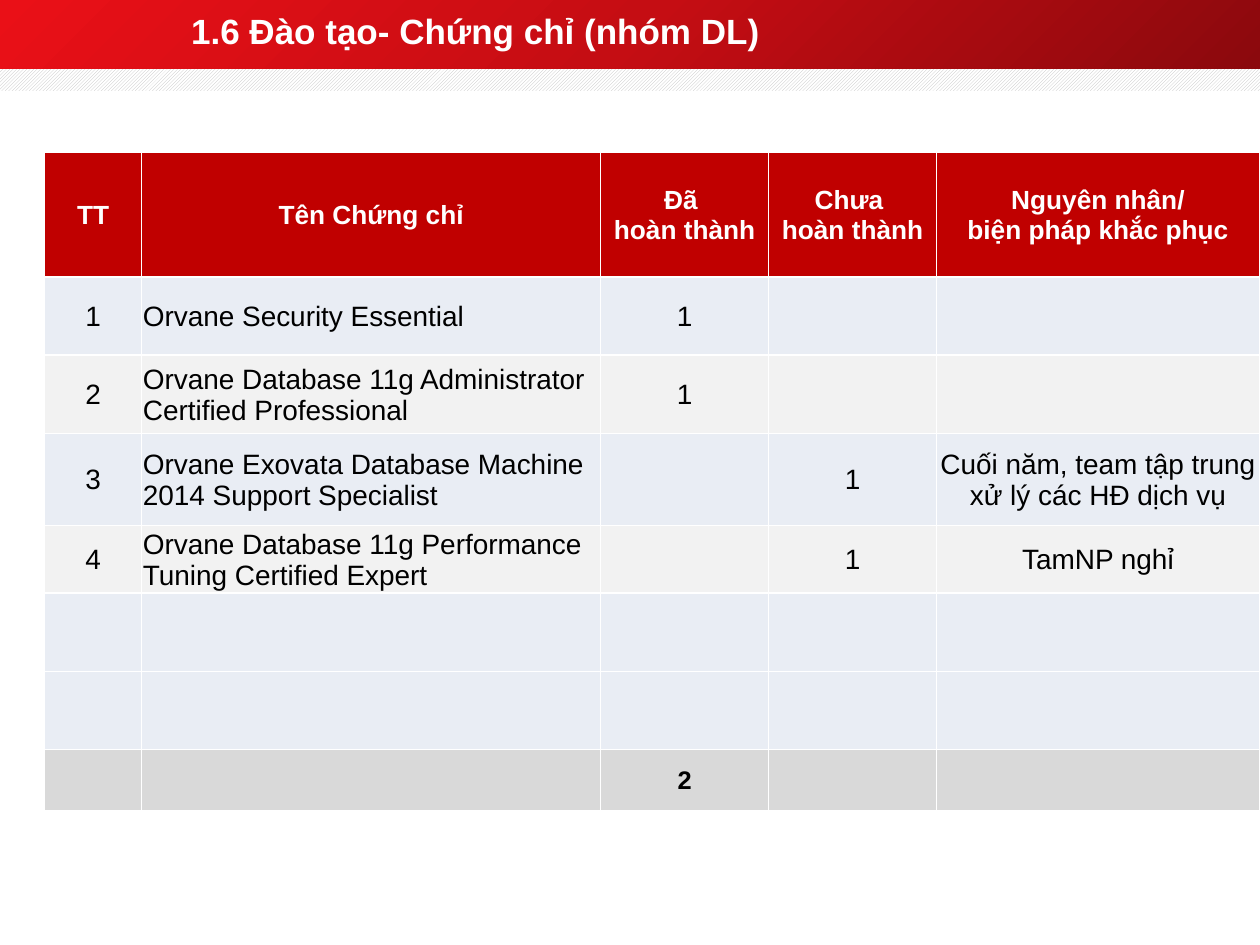
from copy import deepcopy
from dataclasses import dataclass

from lxml.etree import SubElement
from pptx import Presentation
from pptx.dml.color import RGBColor
from pptx.enum.dml import MSO_PATTERN
from pptx.enum.shapes import MSO_SHAPE
from pptx.enum.text import MSO_ANCHOR, PP_ALIGN
from pptx.oxml.ns import qn
from pptx.util import Pt

WHITE = RGBColor(0xFF, 0xFF, 0xFF)
BLACK = RGBColor(0, 0, 0)
HEADER_RED = RGBColor(0xC0, 0, 0)
ROW_BLUE = RGBColor(0xE9, 0xED, 0xF4)
ROW_GREY = RGBColor(0xF2, 0xF2, 0xF2)
TOTAL_GREY = RGBColor(0xD9, 0xD9, 0xD9)
HATCH_GREY = RGBColor(0xBF, 0xBF, 0xBF)
BANNER_STOPS = [
    (0, RGBColor(0x8B, 0x09, 0x0D)),
    (0.5, RGBColor(0xC5, 0x0D, 0x13)),
    (1, RGBColor(0xEA, 0x10, 0x17)),
]

PAGE_WIDTH, PAGE_HEIGHT = 720, 540
BANNER_HEIGHT, HATCH_HEIGHT = 39.5, 12.5
COLUMN_WIDTHS = [55.5, 262.25, 96, 96, 184.5]
NAME_COLUMN = 1

TITLE_FONT = {"name": "Arial", "size": Pt(20), "bold": True}
HEADER_FONT = {"name": "Arial", "size": Pt(15), "bold": True}
BODY_FONT = {"name": "Arial", "size": Pt(16), "bold": False}
TOTAL_FONT = {"name": "Arial", "size": Pt(14.5), "bold": True}
CELL_FORMAT = {
    "vertical_anchor": MSO_ANCHOR.MIDDLE,
    "margin_left": Pt(0.7),
    "margin_right": Pt(0.7),
    "margin_top": Pt(0.7),
    "margin_bottom": Pt(0),
}


@dataclass
class TableRow:
    height: float
    fill: RGBColor
    texts: tuple = ("",) * len(COLUMN_WIDTHS)
    font: dict = None
    color: RGBColor = BLACK


# "\v" is a line break inside a paragraph, "\n" starts a new paragraph.
ROWS = [
    TableRow(71, HEADER_RED,
             ("TT", "Tên Chứng chỉ", "Đã \vhoàn thành", "Chưa \vhoàn thành",
              "Nguyên nhân/\nbiện pháp khắc phục"), HEADER_FONT, WHITE),
    TableRow(44.75, ROW_BLUE, ("1", "Orvane Security Essential", "1", "", "")),
    TableRow(44.75, ROW_GREY,
             ("2", "Orvane Database 11g Administrator Certified Professional",
              "1", "", "")),
    TableRow(52.75, ROW_BLUE,
             ("3", "Orvane Exovata Database Machine 2014 Support Specialist",
              "", "1", "Cuối năm, team tập trung xử lý các HĐ dịch vụ")),
    TableRow(38.5, ROW_GREY,
             ("4", "Orvane Database 11g Performance Tuning Certified Expert",
              "", "1", "TamNP nghỉ")),
    TableRow(44.75, ROW_BLUE),
    TableRow(44.75, ROW_BLUE),
    TableRow(35, TOTAL_GREY, ("", "", "2", "", ""), TOTAL_FONT),
]


def apply_format(target, values: dict) -> None:
    for name, value in values.items():
        setattr(target, name, value)


def add_band(page, top: float, height: float):
    band = page.shapes.add_shape(
        MSO_SHAPE.RECTANGLE, Pt(0), Pt(top), Pt(PAGE_WIDTH), Pt(height))
    band.shadow.inherit = False
    band.line.fill.background()
    return band


def add_banner(page) -> None:
    banner = add_band(page, 0, BANNER_HEIGHT)
    banner.fill.gradient()
    banner.fill.gradient_angle = 135
    stop_list = banner.element.spPr.find(".//" + qn("a:gsLst"))
    stop_list.insert(1, deepcopy(stop_list[0]))
    for stop, (position, color) in zip(banner.fill.gradient_stops, BANNER_STOPS):
        stop.position = position
        stop.color.rgb = color


def add_hatched_strip(page) -> None:
    strip = add_band(page, BANNER_HEIGHT, HATCH_HEIGHT)
    strip.fill.patterned()
    strip.fill.pattern = MSO_PATTERN.DARK_UPWARD_DIAGONAL
    strip.fill.fore_color.rgb = HATCH_GREY
    strip.fill.back_color.rgb = WHITE


def set_title(page, text: str) -> None:
    title = page.shapes.title
    apply_format(title, {"left": Pt(102), "top": Pt(0),
                         "width": Pt(546), "height": Pt(34.5)})
    title.text_frame.text = text
    title.text_frame.vertical_anchor = MSO_ANCHOR.MIDDLE
    para = title.text_frame.paragraphs[0]
    para.alignment = PP_ALIGN.LEFT
    span = para.runs[0]
    apply_format(span.font, TITLE_FONT)
    span.font.color.rgb = WHITE
    # Bring the title in front of the bands.
    page.shapes.element.append(title.element)


def add_cell_borders(cell) -> None:
    """Add white borders; call before the fill, which must follow them."""
    properties = cell._tc.get_or_add_tcPr()
    for side in ("a:lnL", "a:lnR", "a:lnT", "a:lnB"):
        line = SubElement(properties, qn(side), w=str(Pt(1)))
        solid = SubElement(line, qn("a:solidFill"))
        SubElement(solid, qn("a:srgbClr"), val=str(WHITE))


def fill_cell(cell, text: str, row: TableRow, centred: bool) -> None:
    apply_format(cell, CELL_FORMAT)
    add_cell_borders(cell)
    cell.fill.solid()
    cell.fill.fore_color.rgb = row.fill
    if not text:
        return
    cell.text = text
    for para in cell.text_frame.paragraphs:
        para.alignment = PP_ALIGN.CENTER if centred else PP_ALIGN.LEFT
        for span in para.runs:
            apply_format(span.font, row.font or BODY_FONT)
            span.font.color.rgb = row.color


def add_certificate_table(page) -> None:
    table = page.shapes.add_table(
        len(ROWS), len(COLUMN_WIDTHS), Pt(25.5), Pt(87.25),
        Pt(sum(COLUMN_WIDTHS)), Pt(sum(row.height for row in ROWS))).table
    apply_format(table, {"first_row": False, "horz_banding": False})
    for column, width in zip(table.columns, COLUMN_WIDTHS):
        column.width = Pt(width)
    for row_index, row in enumerate(ROWS):
        table.rows[row_index].height = Pt(row.height)
        for column_index, text in enumerate(row.texts):
            centred = column_index != NAME_COLUMN or row.font is HEADER_FONT
            fill_cell(table.cell(row_index, column_index), text, row, centred)


def main() -> None:
    deck = Presentation()
    deck.slide_width, deck.slide_height = Pt(PAGE_WIDTH), Pt(PAGE_HEIGHT)
    page = deck.slides.add_slide(deck.slide_layouts.get_by_name("Title Only"))
    add_banner(page)
    add_hatched_strip(page)
    set_title(page, "1.6 Đào tạo- Chứng chỉ (nhóm DL)")
    add_certificate_table(page)
    deck.save("out.pptx")


if __name__ == "__main__":
    main()
